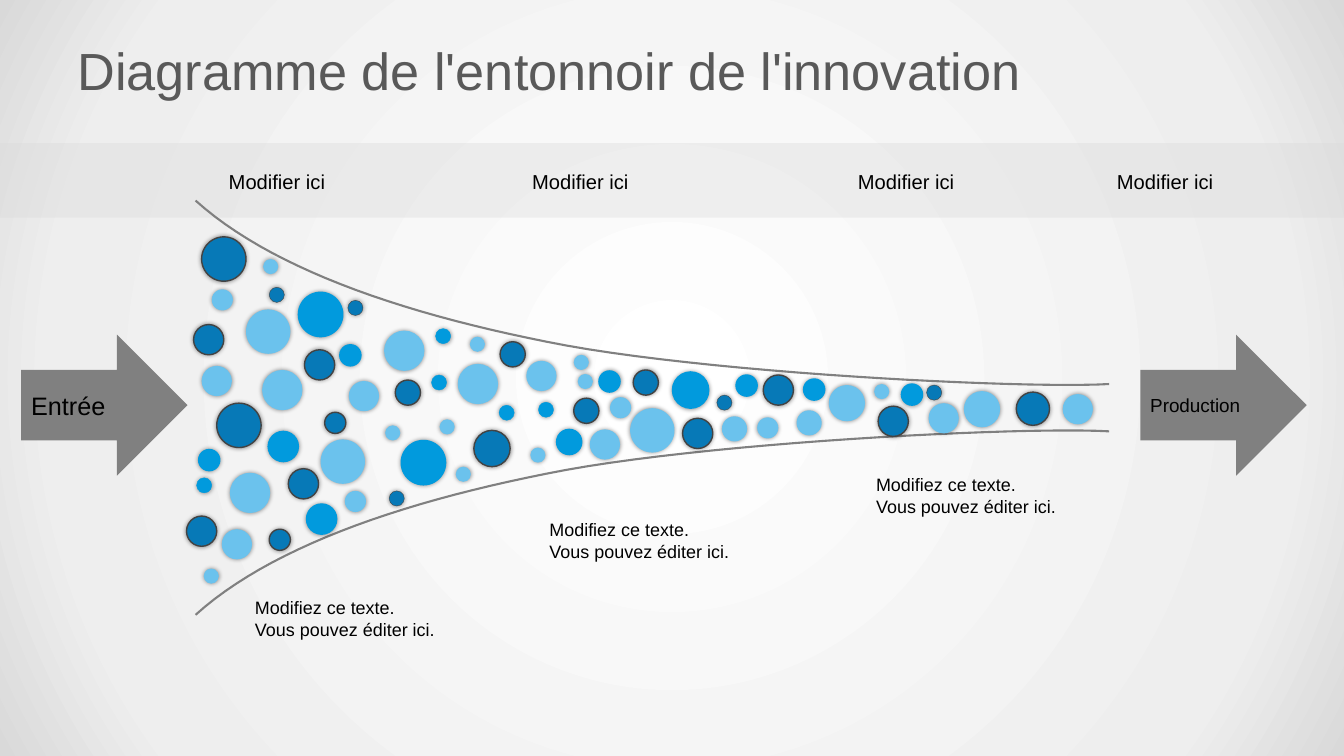
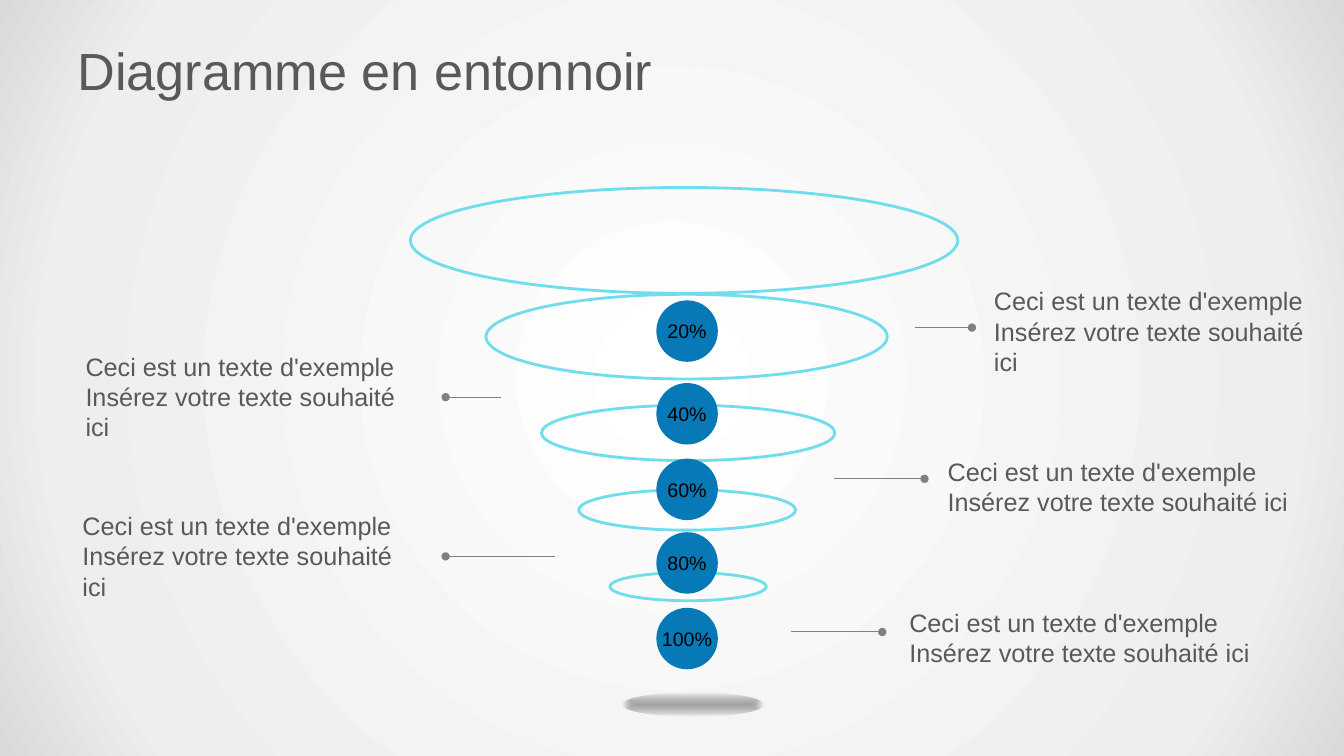
"""Build two funnel diagram slides: an innovation funnel and a ring funnel."""
from dataclasses import dataclass

from lxml import etree
from pptx import Presentation
from pptx import util as u
from pptx.dml.color import RGBColor
from pptx.enum import shapes, text
from pptx.oxml.ns import qn


@dataclass(frozen=True)
class Theme:
    font: str = "Arial"
    ink: str = "000000"
    heading: str = "595959"
    grey: str = "808080"
    band: str = "D9D9D9"
    light: str = "6BC2ED"
    sky: str = "019ADD"
    deep: str = "0779B7"
    rim: str = "434343"
    ring: str = "6FDDEC"
    title_size: float = 37.3
    body_size: float = 18
    output_size: float = 13.5
    stage_size: float = 14.4
    percent_size: float = 14
    note_size: float = 12.8


theme = Theme()
form = shapes.MSO_SHAPE
middle, top = text.MSO_ANCHOR.MIDDLE, text.MSO_ANCHOR.TOP


def place(slide, kind, box, fill=None, line=None, weight=1):
    shape = slide.shapes.add_shape(kind, *map(u.Inches, box))
    shape.shadow.inherit = False
    if fill:
        shape.fill.solid()
        shape.fill.fore_color.rgb = RGBColor.from_string(fill)
    else:
        shape.fill.background()
    if line:
        shape.line.color.rgb = RGBColor.from_string(line)
        shape.line.width = u.Pt(weight)
    else:
        shape.line.fill.background()
    return shape


def write(shape, words, size, color=theme.ink, anchor=middle, align=text.PP_ALIGN.LEFT):
    frame = shape.text_frame
    frame.word_wrap = True
    frame.vertical_anchor = anchor
    frame.text = words
    paragraph = frame.paragraphs[0]
    paragraph.alignment = align
    for run in paragraph.runs:
        run.font.name = theme.font
        run.font.size = u.Pt(size)
        run.font.color.rgb = RGBColor.from_string(color)


prs = Presentation()
prs.slide_width, prs.slide_height = u.Inches(13.33), u.Inches(7.5)
master = prs.slide_master
master.background.fill.gradient()
blank = prs.slide_layouts[6]
innovation, rings = prs.slides.add_slide(blank), prs.slides.add_slide(blank)

band = place(innovation, form.RECTANGLE, (0, 1.42, 13.33, 0.74), theme.band)
band_color = band.element.spPr.find(".//" + qn("a:srgbClr"))
etree.SubElement(band_color, qn("a:alpha"), val="36000")

for slide, title in (
    (innovation, "Diagramme de l'entonnoir de l'innovation"),
    (rings, "Diagramme en entonnoir"),
):
    heading = slide.shapes.add_textbox(*map(u.Inches, (0.67, 0.3, 12, 0.78)))
    write(heading, title, theme.title_size, theme.heading)

wall_curves = (
    ((11, 3.81), (10.15, 3.86), (6.93, 3.7), (5.42, 3.39)),
    ((5.42, 3.39), (3.91, 3.09), (2.66, 2.64), (1.94, 1.99)),
)
steps = 24
wall_points = []
for curve in wall_curves:
    for step in range(steps + 1):
        t = step / steps
        weights = ((1 - t) ** 3, 3 * t * (1 - t) ** 2, 3 * t**2 * (1 - t), t**3)
        wall_points.append([sum(w * p[axis] for w, p in zip(weights, curve)) for axis in (0, 1)])
mirror_sum = 8.09
for mirrored in (False, True):
    outline = [
        (u.Inches(x), u.Inches(mirror_sum - y if mirrored else y)) for x, y in wall_points
    ]
    builder = innovation.shapes.build_freeform(*outline[0])
    builder.add_line_segments(outline[1:], close=False)
    wall = builder.convert_to_shape()
    wall.shadow.inherit = False
    wall.fill.background()
    wall.line.color.rgb = RGBColor.from_string(theme.grey)
    wall.line.width = u.Pt(1.5)

light_bubbles = (
    (2.6, 3.67, 0.4), (3.18, 4.36, 0.44), (3.42, 4.87, 0.21), (4.54, 3.61, 0.4),
    (3.81, 3.28, 0.4), (5.22, 3.58, 0.3), (4.36, 4.16, 0.15), (5.26, 4.44, 0.15),
    (3.82, 4.22, 0.15), (4.52, 4.63, 0.15), (4.66, 3.34, 0.15), (3.46, 3.78, 0.3),
    (2.61, 2.57, 0.15), (2.44, 3.07, 0.44), (2.1, 2.87, 0.21), (2, 3.63, 0.3),
    (2.28, 4.69, 0.4), (2.2, 5.25, 0.3), (2.02, 5.64, 0.15), (7.16, 4.13, 0.25),
    (6.25, 4.05, 0.44), (6.05, 3.94, 0.21), (5.85, 4.26, 0.3), (5.69, 3.52, 0.15),
    (5.73, 3.71, 0.15), (8.22, 3.82, 0.36), (9.21, 4, 0.3), (7.9, 4.07, 0.25),
    (8.67, 3.81, 0.15), (7.51, 4.14, 0.21), (10.54, 3.91, 0.3), (9.56, 3.88, 0.36),
)
sky_bubbles = (
    (2.96, 2.9, 0.44), (3.37, 3.42, 0.21), (3.98, 4.37, 0.44), (5.34, 3.99, 0.15),
    (4.32, 3.26, 0.15), (4.95, 4.02, 0.15), (4.28, 3.72, 0.15), (2.66, 4.28, 0.3),
    (1.95, 4.74, 0.15), (3.04, 5, 0.3), (1.97, 4.46, 0.21), (6.67, 3.69, 0.36),
    (7.3, 3.72, 0.21), (5.94, 3.68, 0.21), (8.94, 3.81, 0.21), (7.97, 3.76, 0.21),
    (5.52, 4.26, 0.25),
)
deep_bubbles = (
    (2, 2.35, 0.44), (3.22, 4.09, 0.21), (4.7, 4.27, 0.36), (3.92, 3.77, 0.25),
    (3.86, 4.87, 0.15), (4.96, 3.39, 0.25), (2.15, 4, 0.44), (3.02, 3.47, 0.3),
    (1.92, 3.22, 0.3), (3.45, 2.98, 0.15), (2.67, 2.85, 0.15), (2.67, 5.25, 0.21),
    (2.86, 4.65, 0.3), (1.85, 5.12, 0.3), (6.77, 4.15, 0.3), (6.28, 3.67, 0.25),
    (7.11, 3.92, 0.15), (5.69, 3.95, 0.25), (8.71, 4.03, 0.3), (9.19, 3.82, 0.15),
    (7.57, 3.72, 0.3), (10.08, 3.89, 0.33),
)
for bubbles, fill, edge in (
    (light_bubbles, theme.light, None),
    (sky_bubbles, theme.sky, theme.sky),
    (deep_bubbles, theme.deep, theme.rim),
):
    for x, y, diameter in bubbles:
        weight = 0.25 if diameter == 0.15 else 1
        bubble = place(innovation, form.OVAL, (x, y, diameter, diameter), fill, edge, weight)
        effects = bubble.element.spPr.find(qn("a:effectLst"))
        glow = etree.SubElement(effects, qn("a:outerShdw"), blurRad=str(u.Pt(3)), dist="0", dir="0")
        glow_color = etree.SubElement(glow, qn("a:srgbClr"), val=theme.ink)
        etree.SubElement(glow_color, qn("a:alpha"), val="40000")

for x, width in ((2.17, 1.99), (5.18, 1.91), (8.41, 1.89), (10.98, 2.36)):
    stage = innovation.shapes.add_textbox(*map(u.Inches, (x, 1.44, width, 0.73)))
    write(stage, "Modifier ici", theme.stage_size)

for x, y in ((2.43, 5.87), (5.35, 5.1), (8.59, 4.65)):
    note = innovation.shapes.add_textbox(*map(u.Inches, (x, y, 1.99, 1.23)))
    write(note, "Modifiez ce texte.\vVous pouvez éditer ici.", theme.note_size, anchor=top)

for x, label, size in (
    (0.21, "Entrée", theme.body_size),
    (11.31, "Production", theme.output_size),
):
    flow = place(innovation, form.RIGHT_ARROW, (x, 3.32, 1.65, 1.4), theme.grey)
    write(flow, label, size)

for x, y, width in (
    (9.76, 2.93, 3.4), (0.75, 3.58, 3.4), (9.3, 4.47, 4.12), (0.72, 5.16, 3.4), (8.92, 5.97, 4.12),
):
    callout = rings.shapes.add_textbox(*map(u.Inches, (x, y, width, 0.71)))
    write(
        callout,
        "Ceci est un texte d'exemple\vInsérez votre texte souhaité ici",
        theme.body_size,
        theme.heading,
    )

for ring_box in (
    (6.05, 5.68, 1.55, 0.28), (5.74, 4.86, 2.15, 0.4), (5.37, 4.02, 2.91, 0.55),
    (4.82, 2.92, 3.98, 0.84), (4.07, 1.86, 5.43, 1.05),
):
    place(rings, form.OVAL, ring_box, line=theme.ring, weight=2)

for y, share in ((2.98, "20%"), (3.8, "40%"), (4.55, "60%"), (5.28, "80%"), (6.03, "100%")):
    disc = place(rings, form.OVAL, (6.51, y, 0.61, 0.61), theme.deep)
    write(disc, share, theme.percent_size, align=text.PP_ALIGN.CENTER)
    disc.text_frame.word_wrap = False
    disc.text_frame.margin_left = disc.text_frame.margin_right = 0

for start, end, y in (
    (4.97, 4.42, 3.94), (5.5, 4.42, 5.52), (7.85, 8.75, 6.27), (8.27, 9.17, 4.75), (9.08, 9.64, 3.25),
):
    leader = rings.shapes.add_connector(
        shapes.MSO_CONNECTOR.STRAIGHT, *map(u.Inches, (start, y, end, y))
    )
    leader.line.color.rgb = RGBColor.from_string(theme.grey)
    leader.line.width = u.Pt(0.75)
    leader_props = leader.element.spPr
    etree.SubElement(leader_props.find(qn("a:ln")), qn("a:tailEnd"), type="oval")
    etree.SubElement(leader_props, qn("a:effectLst"))

floor = place(rings, form.OVAL, (6.17, 6.87, 1.4, 0.24))
floor.fill.gradient()

for owner, spread, stops in (
    (master, "circle", ((0, "FFFFFF", 100), (81, "EEEEEE", 100), (100, theme.band, 100))),
    (floor, "shape", ((0, theme.heading, 52), (100, theme.ink, 0))),
):
    gradient = owner.element.find(".//" + qn("a:gradFill"))
    for child in list(gradient):
        gradient.remove(child)
    stop_list = etree.SubElement(gradient, qn("a:gsLst"))
    for position, color, opacity in stops:
        stop = etree.SubElement(stop_list, qn("a:gs"), pos=str(position * 1000))
        stop_color = etree.SubElement(stop, qn("a:srgbClr"), val=color)
        etree.SubElement(stop_color, qn("a:alpha"), val=str(opacity * 1000))
    radial = etree.SubElement(gradient, qn("a:path"), {"path": spread})
    etree.SubElement(radial, qn("a:fillToRect"), l="50000", t="50000", r="50000", b="50000")

prs.save("out.pptx")
